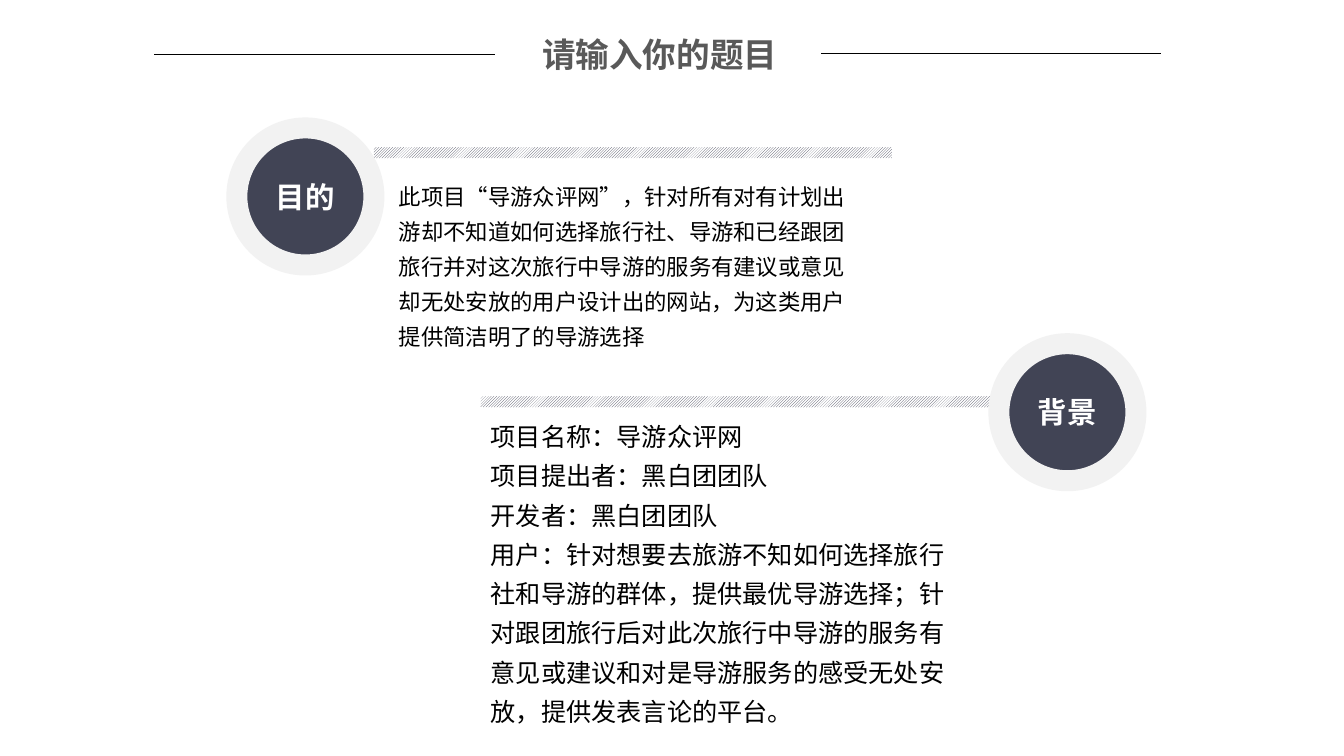
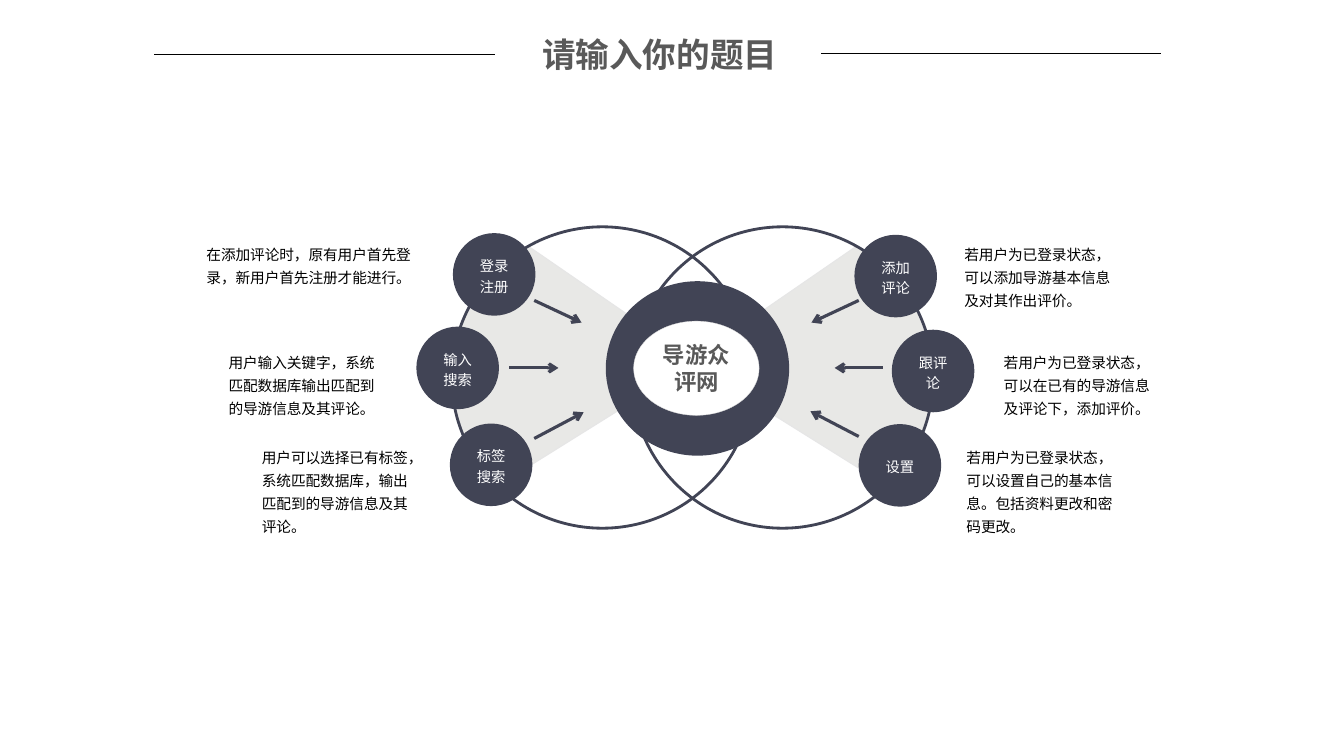
from typing import NamedTuple

from lxml.etree import SubElement
from pptx import Presentation
from pptx.dml.color import RGBColor
from pptx.enum.dml import MSO_PATTERN
from pptx.enum.lang import MSO_LANGUAGE_ID
from pptx.enum.shapes import MSO_CONNECTOR, MSO_SHAPE
from pptx.enum.text import MSO_ANCHOR, MSO_AUTO_SIZE, PP_ALIGN
from pptx.oxml.ns import qn
from pptx.shapes.autoshape import Shape
from pptx.shapes.connector import Connector
from pptx.slide import Slide
from pptx.text.text import TextFrame
from pptx.util import Pt

NAVY = RGBColor(0x41, 0x44, 0x55)
GRAY = RGBColor(0x59, 0x59, 0x59)
PALE = RGBColor(0xF2, 0xF2, 0xF2)
WEDGE = RGBColor(0xE8, 0xE8, 0xE6)
WEDGE_EDGE = RGBColor(0xE6, 0xE6, 0xE6)
CENTER_EDGE = RGBColor(0xD7, 0xD7, 0xD7)
BLACK = RGBColor(0, 0, 0)
WHITE = RGBColor(0xFF, 0xFF, 0xFF)
HAN_FONT = "Noto Sans CJK SC"
LATIN_FONT = "Arial"
BODY_SPACING = 1.3

MIRROR_SUM = 989.2  # x of a point plus x of its reflection
RING_SIZE = 215.3
NODE_SIZE = 59

Point = tuple[float, float]


class Topic(NamedTuple):
    label: str
    circle: Point
    bar: Point
    text_at: Point
    text_height: float
    size: float
    lines: tuple[str, ...]


class Feature(NamedTuple):
    label: str
    center: Point
    arrow: tuple[Point, Point]
    note_at: Point
    note_width: float
    note_height: float
    note: str


TOPICS = (
    Topic("目的", (169.2, 91.4), (267.1, 105.1), (277.9, 121.7), 133.2, 16, (
        "此项目“导游众评网”，针对所有对有计划出游却不知道如何选择旅行社、导游和已经跟团旅行并对这次旅行中导游的服务有建议或意见却无处安放的用户设计出的网站，为这类用户提供简洁明了的导游选择",
    )),
    Topic("背景", (713.5, 245.5), (343.4, 283), (343.4, 290.9), 234, 18, (
        "项目名称：导游众评网",
        "项目提出者：黑白团团队",
        "开发者：黑白团团队",
        "用户：针对想要去旅游不知如何选择旅行社和导游的群体，提供最优导游选择；针对跟团旅行后对此次旅行中导游的服务有意见或建议和对是导游服务的感受无处安放，提供发表言论的平台。",
    )),
)

FEATURES = (
    Feature("登录注册", (353, 196), ((381.6, 214.6), (415.4, 230.4)), (140.4, 168.5), 168.5, 40.3,
            "在添加评论时，原有用户首先登录，新用户首先注册才能进行。"),
    Feature("输入搜索", (326.9, 262.8), ((363.6, 262.8), (398.9, 262.8)), (156.2, 245.5), 126.7, 56.9,
            "用户输入关键字，系统匹配数据库输出匹配到的导游信息及其评论。"),
    Feature("标签搜索", (350.8, 332), ((381.6, 313.2), (416.9, 294.5)), (180, 313.2), 126.7, 73.4,
            "用户可以选择已有标签，系统匹配数据库，输出匹配到的导游信息及其评论。"),
    Feature("添加评论", (639.8, 197.2), ((613.4, 214.6), (579.6, 230.4)), (681.8, 168.5), 126.7, 56.9,
            "若用户为已登录状态，可以添加导游基本信息及对其作出评价。"),
    Feature("跟评论", (666.5, 265), ((630.7, 262.8), (596.2, 262.8)), (709.9, 245.5), 126.7, 56.9,
            "若用户为已登录状态，可以在已有的导游信息及评论下，添加评价。"),
    Feature("设置", (642.8, 332.4), ((613.4, 311.8), (578.9, 293.8)), (683.3, 313.2), 126.7, 73.4,
            "若用户为已登录状态，可以设置自己的基本信息。包括资料更改和密码更改。"),
)


def write(frame: TextFrame, *lines: str, size: float, color: RGBColor = BLACK, bold: bool = False,
          font: str = HAN_FONT, align: PP_ALIGN = PP_ALIGN.LEFT, spacing: float = 1.0) -> None:
    for index, line in enumerate(lines):
        para = frame.add_paragraph() if index else frame.paragraphs[0]
        para.alignment = align
        para.line_spacing = spacing
        span = para.add_run()
        span.text = line
        span.font.size = Pt(size)
        span.font.bold = bold
        span.font.color.rgb = color
        span.font.name = font
        span.font.language_id = MSO_LANGUAGE_ID.SIMPLIFIED_CHINESE
        east_asian = SubElement(span.font._element, qn("a:ea"))
        east_asian.set("typeface", HAN_FONT)


def add_text(page: Slide, at: Point, width: float, height: float, *lines: str,
             wrap: bool = True, **style) -> None:
    box = page.shapes.add_textbox(Pt(at[0]), Pt(at[1]), Pt(width), Pt(height))
    box.text_frame.word_wrap = wrap
    box.text_frame.auto_size = MSO_AUTO_SIZE.SHAPE_TO_FIT_TEXT
    write(box.text_frame, *lines, **style)


def paint(shape: Shape, fill: RGBColor | None, edge: RGBColor | None, weight: float) -> None:
    shape.shadow.inherit = False
    if fill is None:
        shape.fill.background()
    else:
        shape.fill.solid()
        shape.fill.fore_color.rgb = fill
    if edge is None:
        shape.line.fill.background()
    else:
        shape.line.color.rgb = edge
        shape.line.width = Pt(weight)


def add_ellipse(page: Slide, at: Point, width: float, height: float, fill: RGBColor | None = NAVY,
                edge: RGBColor | None = None, weight: float = 0, label: str = "", **style) -> None:
    ellipse = page.shapes.add_shape(MSO_SHAPE.OVAL, Pt(at[0]), Pt(at[1]), Pt(width), Pt(height))
    paint(ellipse, fill, edge, weight)
    if label:
        ellipse.text_frame.word_wrap = True
        ellipse.text_frame.vertical_anchor = MSO_ANCHOR.MIDDLE
        write(ellipse.text_frame, label, align=PP_ALIGN.CENTER, **style)


def add_line(page: Slide, start: Point, end: Point, color: RGBColor, weight: float,
             arrow: bool = False) -> Connector:
    line = page.shapes.add_connector(MSO_CONNECTOR.STRAIGHT, Pt(start[0]), Pt(start[1]),
                                     Pt(end[0]), Pt(end[1]))
    line.line.color.rgb = color
    line.line.width = Pt(weight)
    if arrow:
        SubElement(line.line._get_or_add_ln(), qn("a:tailEnd")).set("type", "arrow")
    SubElement(line._element.spPr, qn("a:effectLst"))
    return line


def add_hatched_bar(page: Slide, at: Point) -> None:
    bar = page.shapes.add_shape(MSO_SHAPE.RECTANGLE, Pt(at[0]), Pt(at[1]), Pt(370), Pt(7.9))
    paint(bar, None, None, 0)
    bar.fill.patterned()
    bar.fill.pattern = MSO_PATTERN.LIGHT_UPWARD_DIAGONAL
    bar.fill.fore_color.rgb = NAVY
    bar.fill.back_color.rgb = WHITE


def curve(start: Point, first: Point, second: Point, end: Point, steps: int = 12) -> list[Point]:
    """Points along a cubic Bézier curve, without its start."""
    points = []
    for step in range(1, steps + 1):
        t = step / steps
        weights = ((1 - t) ** 3, 3 * t * (1 - t) ** 2, 3 * t * t * (1 - t), t ** 3)
        x, y = (sum(w * p[axis] for w, p in zip(weights, (start, first, second, end)))
                for axis in (0, 1))
        points.append((x, y))
    return points


def add_wedge(page: Slide, mirrored: bool) -> None:
    top, side, bottom = (651.6, 215.3), (666.7, 267.8), (633.6, 347)
    outline = [
        top,
        *curve(top, (634.3, 191.5), (637.9, 193.7), (612, 175.7)),
        (491.8, 258.5),
        bottom,
        *curve(bottom, (668.2, 304.6), (664.6, 290.2), side),
        *curve(side, (665.3, 249.8), (661.7, 231.1), top),
    ]
    corners = [(Pt(MIRROR_SUM - x if mirrored else x), Pt(y)) for x, y in outline]
    builder = page.shapes.build_freeform(*corners[0])
    builder.add_line_segments(corners[1:], close=True)
    paint(builder.convert_to_shape(), WEDGE, WEDGE_EDGE, 0.75)


def add_page(deck: Presentation) -> Slide:
    """Blank page with the shared title between two rules."""
    page = deck.slides.add_slide(deck.slide_layouts[6])
    add_line(page, (110.2, 38.9), (353.5, 38.9), BLACK, 0.5)
    add_line(page, (586.8, 38.2), (829.4, 38.2), BLACK, 0.5)
    add_text(page, (380.2, 20.9), 204.5, 36, "请输入你的题目", wrap=False,
             size=24, color=GRAY, bold=True)
    return page


def build_topics(deck: Presentation) -> None:
    page = add_page(deck)
    for topic in TOPICS:
        add_hatched_bar(page, topic.bar)
        add_ellipse(page, topic.circle, 97.9, 97.9, edge=PALE, weight=15,
                    label=topic.label, size=21, color=WHITE, bold=True)
        add_text(page, topic.text_at, 348.5, topic.text_height, *topic.lines,
                 size=topic.size, spacing=BODY_SPACING)


def build_features(deck: Presentation) -> None:
    page = add_page(deck)
    for mirrored in (False, True):
        add_wedge(page, mirrored)
    ring_left = 322.6
    for left in (ring_left, MIRROR_SUM - ring_left - RING_SIZE):
        add_ellipse(page, (left, 162), RING_SIZE, RING_SIZE, fill=None, edge=NAVY, weight=2)
    for feature in FEATURES:
        add_line(page, *feature.arrow, NAVY, 2.25, arrow=True)
    add_ellipse(page, (432.7, 200.9), 131, 124.6)
    add_ellipse(page, (452.6, 229.4), 89.6, 67.3, fill=WHITE, edge=CENTER_EDGE, weight=0.25,
                label="导游众评网", size=16, color=GRAY, bold=True)
    for feature in FEATURES:
        x, y = feature.center
        add_ellipse(page, (x - NODE_SIZE / 2, y - NODE_SIZE / 2), NODE_SIZE, NODE_SIZE,
                    label=feature.label, size=10.2, color=WHITE, font=LATIN_FONT, spacing=1.2)
        add_text(page, feature.note_at, feature.note_width, feature.note_height, feature.note,
                 size=10.5, spacing=BODY_SPACING)


def main() -> None:
    deck = Presentation()
    deck.slide_width, deck.slide_height = Pt(960), Pt(540)
    build_topics(deck)
    build_features(deck)
    deck.save("out.pptx")


if __name__ == "__main__":
    main()
